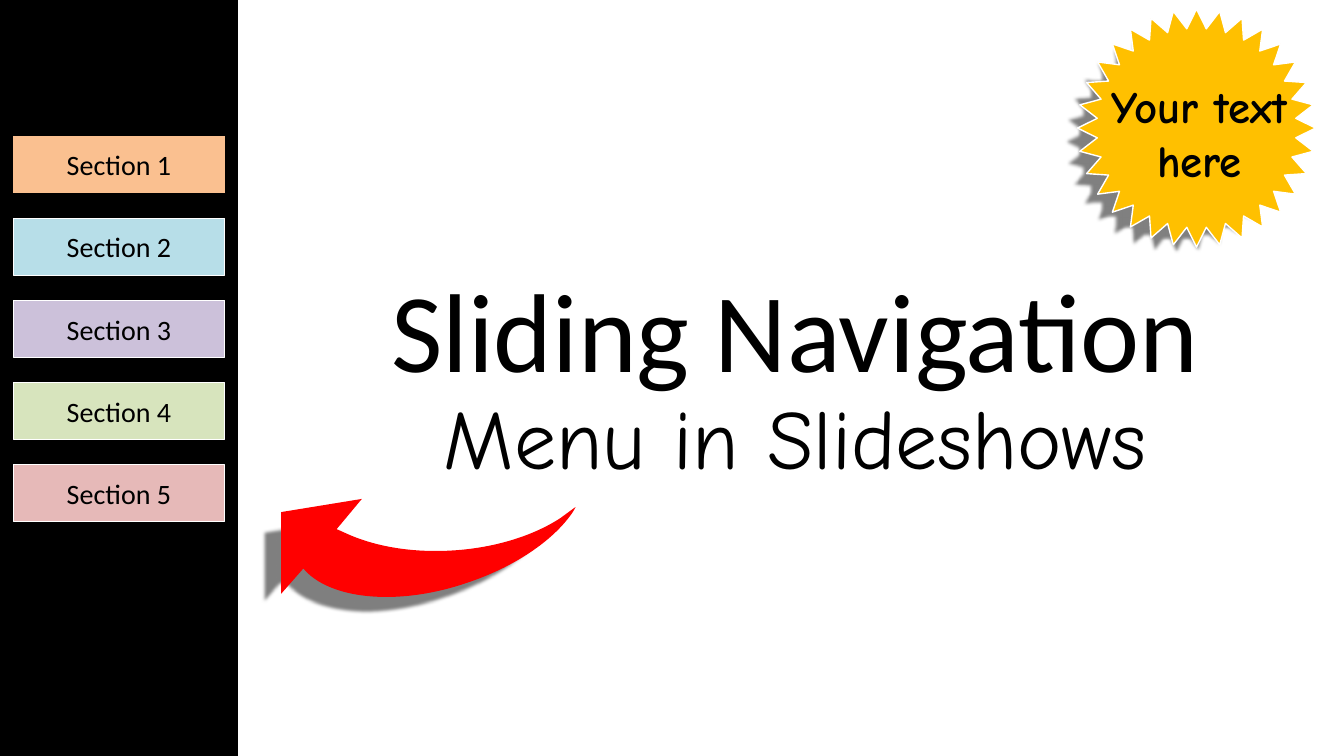
"""Build the title slide with a section menu, a curved arrow and a star badge."""
from lxml.etree import SubElement
from pptx import Presentation
from pptx.dml.color import RGBColor
from pptx.enum.shapes import MSO_SHAPE as Shape
from pptx.enum.text import MSO_ANCHOR as Anchor, MSO_AUTO_SIZE as AutoSize, PP_ALIGN as Align
from pptx.oxml.ns import qn
from pptx.util import Pt

SHADOW_GRAY = "808080"
MENU_COLORS = ["FAC090", "B7DEE8", "CCC1DA", "D7E4BD", "E6B9B8"]
ARROW_START = (258.5, 356.4)
ARROW_STEPS = [
    [(240.5, 378)],
    [(247, 380.9)],
    [(267.1, 390.2), (294.5, 395.3), (325.4, 393.1)],
    [(355, 391), (381.6, 382.3), (400.3, 370.1)],
    [(411.1, 362.2)],
    [(409.7, 365)],
    [(396, 385.9), (367.2, 405.4), (331.9, 416.9)],
    [(282.2, 433.4), (234.7, 427.7), (216.7, 406.1)],
    [(200.9, 424.1)],
    [(200.9, 365.8)],
]


def paint(shape, fill, line=None, width=1):
    shape.shadow.inherit = False
    shape.fill.solid()
    shape.fill.fore_color.rgb = RGBColor.from_string(fill)
    if line:
        shape.line.color.rgb = RGBColor.from_string(line)
        shape.line.width = Pt(width)
    else:
        shape.line.fill.background()
    if fill == SHADOW_GRAY:
        effects = shape.element.spPr.find(qn("a:effectLst"))
        SubElement(effects, qn("a:softEdge"), rad=str(Pt(2.5)))


def write(para, text, size, font="Calibri", bold=False):
    para.alignment = Align.CENTER
    span = para.add_run()
    span.text = text
    span.font.size = Pt(size)
    span.font.name = font
    span.font.bold = bold
    span.font.color.rgb = RGBColor.from_string("000000")


deck = Presentation()
deck.slide_width, deck.slide_height = Pt(960), Pt(540)
page = deck.slides.add_slide(deck.slide_layouts[5])

title = page.shapes.title
title.left, title.top, title.width, title.height = Pt(266.4), Pt(130.8), Pt(603.4), Pt(221)
frame = title.text_frame
frame.auto_size = AutoSize.NONE
frame.word_wrap = True
frame.vertical_anchor = Anchor.BOTTOM
para = frame.paragraphs[0]
para.line_spacing = 0.9
write(para, "Sliding Navigation ", 80)
write(para, "Menu in Slideshows", 60, font="Comic Neue")

menu = page.shapes.add_group_shape()
panel = menu.shapes.add_shape(Shape.RECTANGLE, Pt(0), Pt(0), Pt(169.6), Pt(540))
paint(panel, "000000", line="000000")
for index, color in enumerate(MENU_COLORS):
    button = menu.shapes.add_shape(
        Shape.RECTANGLE, Pt(9.4), Pt(97.2 + 58.7 * index), Pt(151.2), Pt(40.5))
    paint(button, color, line="FFFFFF" if index else None, width=0.5)
    button.text_frame.vertical_anchor = Anchor.MIDDLE
    write(button.text_frame.paragraphs[0], f"Section {index + 1}", 20)

for dx, dy, color in [(-14.4, 12.6, SHADOW_GRAY), (0, 0, "FF0000")]:
    builder = page.shapes.build_freeform(Pt(ARROW_START[0] + dx), Pt(ARROW_START[1] + dy))
    builder.add_line_segments(
        [(Pt(x + dx), Pt(y + dy)) for step in ARROW_STEPS for x, y in step], close=True)
    arrow = builder.convert_to_shape()
    segments = iter(list(arrow.element.iter(qn("a:lnTo"))))
    for step in ARROW_STEPS:
        parts = [next(segments) for point in step]
        if len(parts) == 3:
            parts[0].tag = qn("a:cubicBezTo")
            for part in parts[1:]:
                parts[0].append(part[0])
                part.getparent().remove(part)
    paint(arrow, color)

badge = page.shapes.add_group_shape()
for left, top, color, line in [(755.3, 15.8, SHADOW_GRAY, None), (769.7, 6.5, "FFC000", "FFFFFF")]:
    star = badge.shapes.add_shape(Shape.STAR_32_POINT, Pt(left), Pt(top), Pt(170), Pt(170))
    star.adjustments[0] = 0.419
    paint(star, color, line=line)

label = page.shapes.add_textbox(Pt(780.3), Pt(52.6), Pt(152.6), Pt(85))
label.text_frame.word_wrap = True
label.text_frame.auto_size = AutoSize.SHAPE_TO_FIT_TEXT
write(label.text_frame.paragraphs[0], "Your text here", 32, font="Comic Neue", bold=True)

deck.save("out.pptx")
